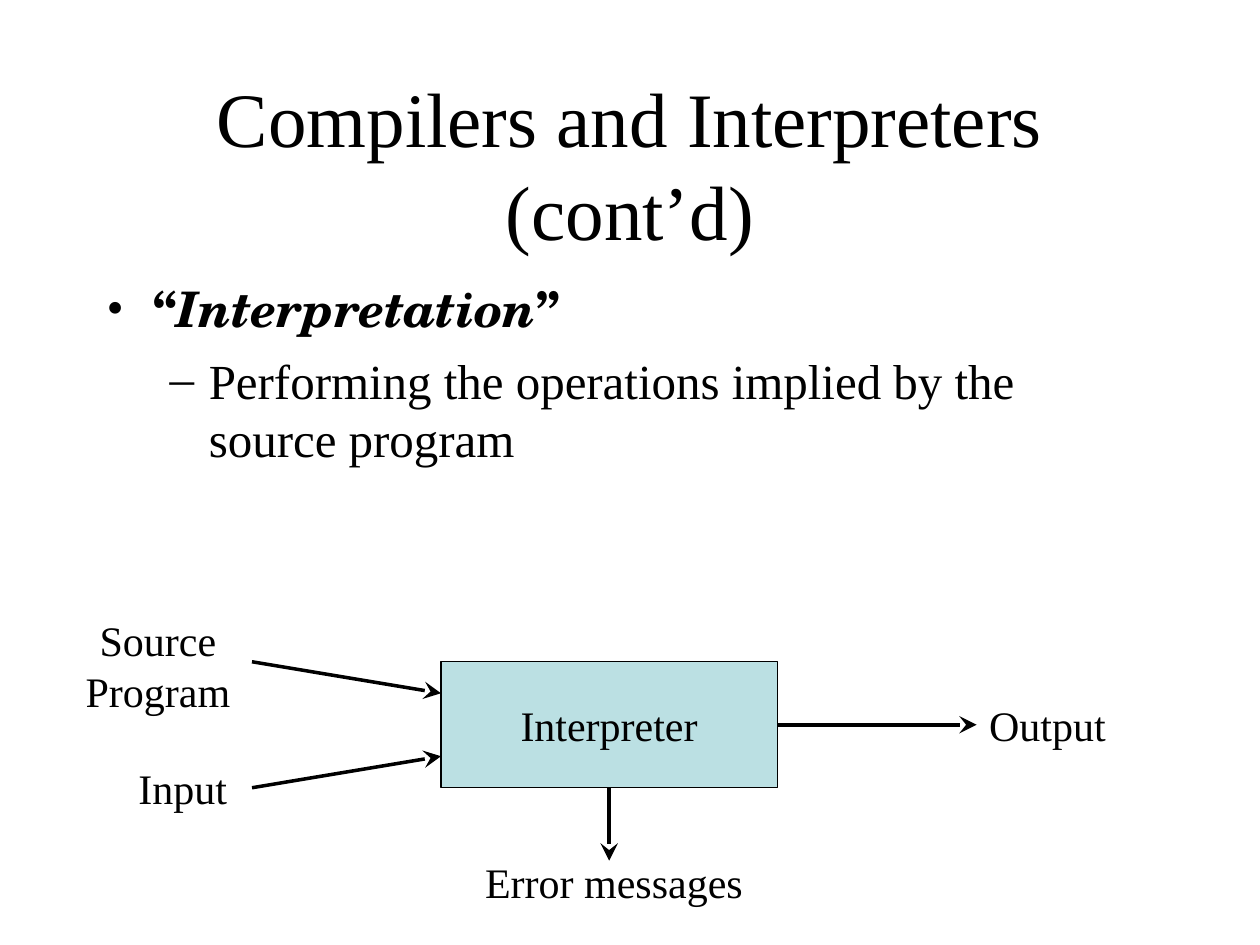
from lxml.etree import SubElement
from pptx import Presentation
from pptx.dml.color import RGBColor
from pptx.enum.shapes import MSO_CONNECTOR, MSO_SHAPE
from pptx.enum.text import MSO_ANCHOR, MSO_AUTO_SIZE, PP_ALIGN
from pptx.oxml.ns import qn
from pptx.util import Cm, Pt

BLACK = RGBColor(0x00, 0x00, 0x00)
PALE_TEAL = RGBColor(0xBB, 0xE0, 0xE3)
SERIF = "Times New Roman"
SCHOOLBOOK = "TeX Gyre Schola"


def format_run(run, size, font=SERIF, bold=False, italic=False):
    run.font.name, run.font.size = font, Pt(size)
    run.font.bold, run.font.italic = bold, italic
    run.font.color.rgb = BLACK


def format_paragraphs(frame, size, align):
    for paragraph in frame.paragraphs:
        paragraph.alignment = align
        for run in paragraph.runs:
            format_run(run, size)


def add_bullet(paragraph, mark, left, hanging):
    properties = paragraph._p.get_or_add_pPr()
    properties.set("marL", str(Cm(left)))
    properties.set("indent", str(-Cm(hanging)))
    SubElement(properties, qn("a:buFont"), typeface=SERIF)
    SubElement(properties, qn("a:buChar"), char=mark)


def place_title(slide, left, top, width, height):
    title = slide.shapes.title
    title.left, title.top = Cm(left), Cm(top)
    title.width, title.height = Cm(width), Cm(height)
    frame = title.text_frame
    frame.text = "Compilers and Interpreters (cont’d)"
    frame.auto_size = MSO_AUTO_SIZE.NONE
    frame.vertical_anchor = MSO_ANCHOR.MIDDLE
    format_paragraphs(frame, 44, PP_ALIGN.CENTER)


def place_definition(slide, left, top, width, height):
    body = slide.shapes.add_textbox(Cm(left), Cm(top), Cm(width), Cm(height))
    frame = body.text_frame
    frame.word_wrap = True

    term = frame.paragraphs[0]
    term.space_before = Pt(8)
    add_bullet(term, "•", 0.94, 0.94)
    for text, italic in (("“", False), ("Interpretation", True), ("”", False)):
        run = term.add_run()
        run.text = text
        format_run(run, 28, SCHOOLBOOK, bold=True, italic=italic)

    meaning = frame.add_paragraph()
    meaning.text = "Performing the operations implied by the source program"
    meaning.level = 1
    meaning.space_before = Pt(7)
    add_bullet(meaning, "–", 2.06, 0.79)
    format_run(meaning.runs[0], 28)


def add_label(slide, text, left, top, width, height=1.27, align=PP_ALIGN.LEFT):
    label = slide.shapes.add_textbox(Cm(left), Cm(top), Cm(width), Cm(height))
    frame = label.text_frame
    frame.text = text
    frame.word_wrap = False
    frame.auto_size = MSO_AUTO_SIZE.SHAPE_TO_FIT_TEXT
    format_paragraphs(frame, 24, align)


def add_arrow(slide, start, end):
    arrow = slide.shapes.add_connector(
        MSO_CONNECTOR.STRAIGHT, *(Cm(value) for value in (*start, *end)))
    arrow.line.color.rgb = BLACK
    arrow.line.width = Pt(2)
    SubElement(arrow.line._get_or_add_ln(), qn("a:tailEnd"),
               type="stealth", w="lg", len="lg")
    SubElement(arrow._element.spPr, qn("a:effectLst"))


def place_diagram(slide, left, top):
    """Draw the interpreter with its inputs and outputs from a top-left corner."""
    core_left, core_top = left + 7.42, top + 1.07
    core_width, core_height = 6.78, 2.54
    core_right, core_bottom = core_left + core_width, core_top + core_height
    center_x, center_y = core_left + core_width / 2, core_top + core_height / 2

    core = slide.shapes.add_shape(
        MSO_SHAPE.RECTANGLE, Cm(core_left), Cm(core_top),
        Cm(core_width), Cm(core_height))
    core.shadow.inherit = False
    core.fill.solid()
    core.fill.fore_color.rgb = PALE_TEAL
    core.line.color.rgb = BLACK
    core.line.width = Pt(0.75)
    frame = core.text_frame
    frame.text = "Interpreter"
    frame.word_wrap = False
    frame.vertical_anchor = MSO_ANCHOR.MIDDLE
    format_paragraphs(frame, 24, PP_ALIGN.CENTER)

    output_x = left + 18.22
    add_label(slide, "Source\nProgram", left, top, 3.43, 2.29, PP_ALIGN.CENTER)
    add_label(slide, "Input", left + 1.07, top + 2.97, 2.3)
    add_label(slide, "Output", output_x, top + 1.7, 2.9)
    add_label(slide, "Error messages", left + 8.06, top + 4.88, 5.75)

    inputs_x = left + 3.61
    quarter = core_height / 4
    add_arrow(slide, (inputs_x, core_top), (core_left, core_top + quarter))
    add_arrow(slide, (inputs_x, core_bottom), (core_left, core_bottom - quarter))
    add_arrow(slide, (core_right, center_y), (output_x, center_y))
    add_arrow(slide, (center_x, core_bottom), (center_x, top + 5.08))


def main():
    deck = Presentation()
    deck.slide_width, deck.slide_height = Cm(25.4), Cm(19.05)
    slide = deck.slides.add_slide(deck.slide_layouts[5])
    place_title(slide, 1.9, 1.7, 21.6, 3.18)
    place_diagram(slide, 1.47, 12.27)
    place_definition(slide, 1.9, 5.5, 21.6, 11.43)
    deck.save("out.pptx")


if __name__ == "__main__":
    main()
